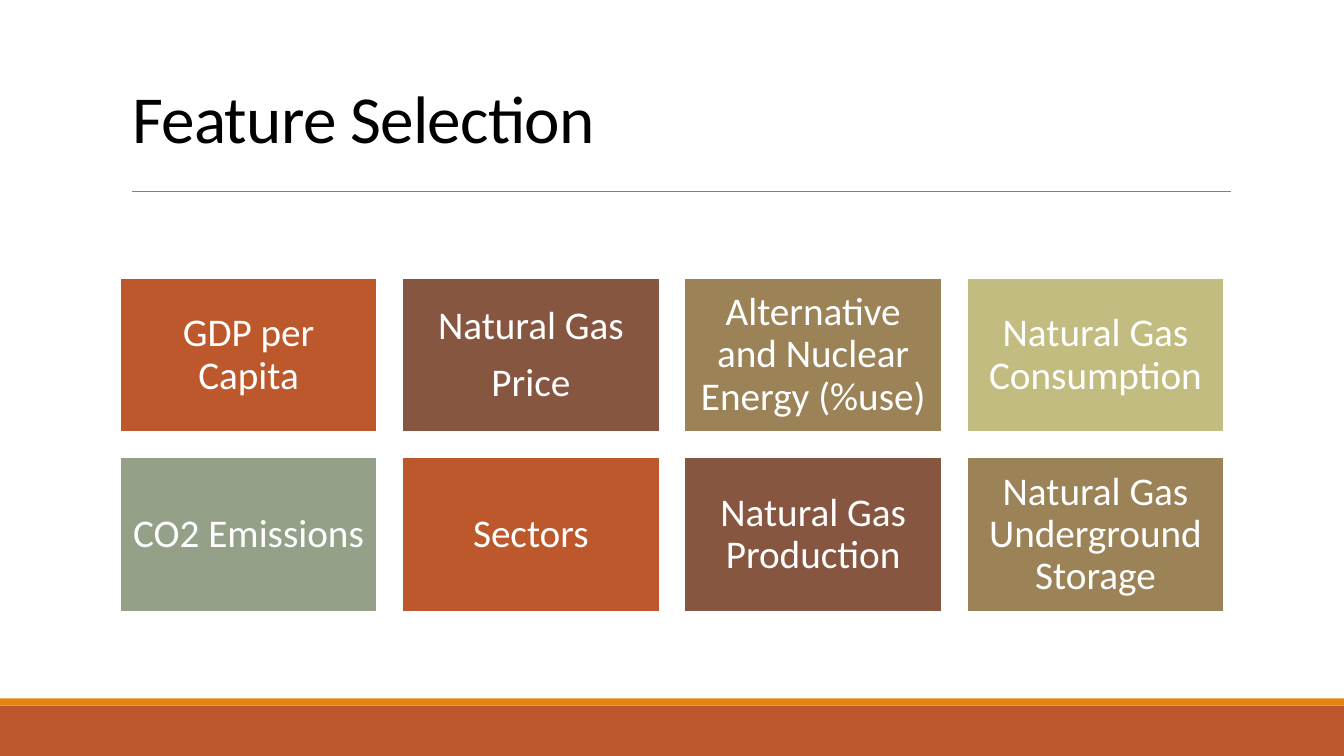
from pptx import Presentation, util as u
from pptx.dml.color import RGBColor
from pptx.enum import shapes, text
from pptx.oxml import parse_xml
from pptx.oxml.ns import nsdecls

WHITE = RGBColor(0xFF, 0xFF, 0xFF)
BLACK = RGBColor(0x00, 0x00, 0x00)
GRAY = RGBColor(0x80, 0x80, 0x80)
RUST = RGBColor(0xBD, 0x58, 0x2C)
ORANGE = RGBColor(0xE4, 0x83, 0x12)
BROWN = RGBColor(0x86, 0x56, 0x40)
TAN = RGBColor(0x9B, 0x83, 0x57)
KHAKI = RGBColor(0xC2, 0xBC, 0x80)
SAGE = RGBColor(0x94, 0xA0, 0x88)

WIDE, HIGH = 13.33, 7.5
COLS = 4
GAP = 0.25
FILLS = [RUST, BROWN, TAN, KHAKI, SAGE]
FEATURES = [
    ["GDP per Capita"],
    ["Natural Gas", "Price"],
    ["Alternative and Nuclear Energy (%use)"],
    ["Natural Gas Consumption"],
    ["CO2 Emissions"],
    ["Sectors"],
    ["Natural Gas Production"],
    ["Natural Gas Underground Storage"],
]


def inches(*sizes):
    return [u.Inches(size) for size in sizes]


def add_rect(slide, box, fill):
    rect = slide.shapes.add_shape(shapes.MSO_SHAPE.RECTANGLE, *inches(*box))
    rect.shadow.inherit = False
    rect.fill.solid()
    rect.fill.fore_color.rgb = fill
    rect.line.fill.background()
    return rect


def write(frame, lines, size, color, spacing, after):
    """Fill a text frame with centred paragraphs and return their runs."""
    frame.word_wrap = True
    runs = []
    for i, line in enumerate(lines):
        para = frame.add_paragraph() if i else frame.paragraphs[0]
        para.alignment = text.PP_ALIGN.CENTER
        para.line_spacing = spacing
        para.space_after = u.Pt(after)
        run = para.add_run()
        run.text = line
        run.font.name = "Calibri"
        run.font.size = u.Pt(size)
        run.font.color.rgb = color
        runs.append(run)
    return runs


def add_footer(slide, box):
    left, top, width, height = box
    strip = 0.07
    add_rect(slide, (left, top + strip, width, height - strip), RUST)
    add_rect(slide, (left, top, width, strip), ORANGE)


def add_header(slide, box):
    """Place the title at the top of the box and a rule near its foot."""
    left, top, width, height = box
    title = slide.shapes.add_textbox(*inches(left, top, 5.06, height))
    frame = title.text_frame
    frame.margin_left = u.Inches(0.25)
    for run in write(frame, ["Feature Selection"], 48, BLACK, 0.85, 6):
        run._r.get_or_add_rPr().set("spc", "-50")

    level = top + 1.07
    rule = slide.shapes.add_connector(
        shapes.MSO_CONNECTOR.STRAIGHT,
        *inches(left + 0.31, level, left + width, level))
    rule.line.color.rgb = GRAY
    rule.line.width = u.Pt(0.5)
    rule._element.spPr.append(parse_xml(f"<a:effectLst {nsdecls('a')}/>"))


def add_tile(slide, box, lines, fill):
    tile = add_rect(slide, box, fill)
    tile.line.color.rgb = WHITE
    tile.line.width = u.Pt(1.25)
    frame = tile.text_frame
    frame.vertical_anchor = text.MSO_ANCHOR.MIDDLE
    frame.margin_left = frame.margin_right = u.Inches(0.12)
    frame.margin_top = frame.margin_bottom = u.Inches(0.12)
    write(frame, lines, 28, WHITE, 0.9, 9.8)


def add_grid(slide, box):
    left, top, width, height = box
    rows = len(FEATURES) // COLS
    wide = (width - GAP * (COLS - 1)) / COLS
    high = (height - GAP * (rows - 1)) / rows
    for i, lines in enumerate(FEATURES):
        row, col = divmod(i, COLS)
        place = (left + col * (wide + GAP), top + row * (high + GAP), wide, high)
        add_tile(slide, place, lines, FILLS[i % len(FILLS)])


def main():
    deck = Presentation()
    deck.slide_width, deck.slide_height = inches(WIDE, HIGH)
    slide = deck.slides.add_slide(deck.slide_layouts[6])
    add_footer(slide, (0, 6.93, WIDE, HIGH - 6.93))
    add_header(slide, (1, 0.83, 11.21, 1.2))
    add_grid(slide, (1.19, 2.76, 10.95, 3.31))
    deck.save("out.pptx")


if __name__ == "__main__":
    main()
